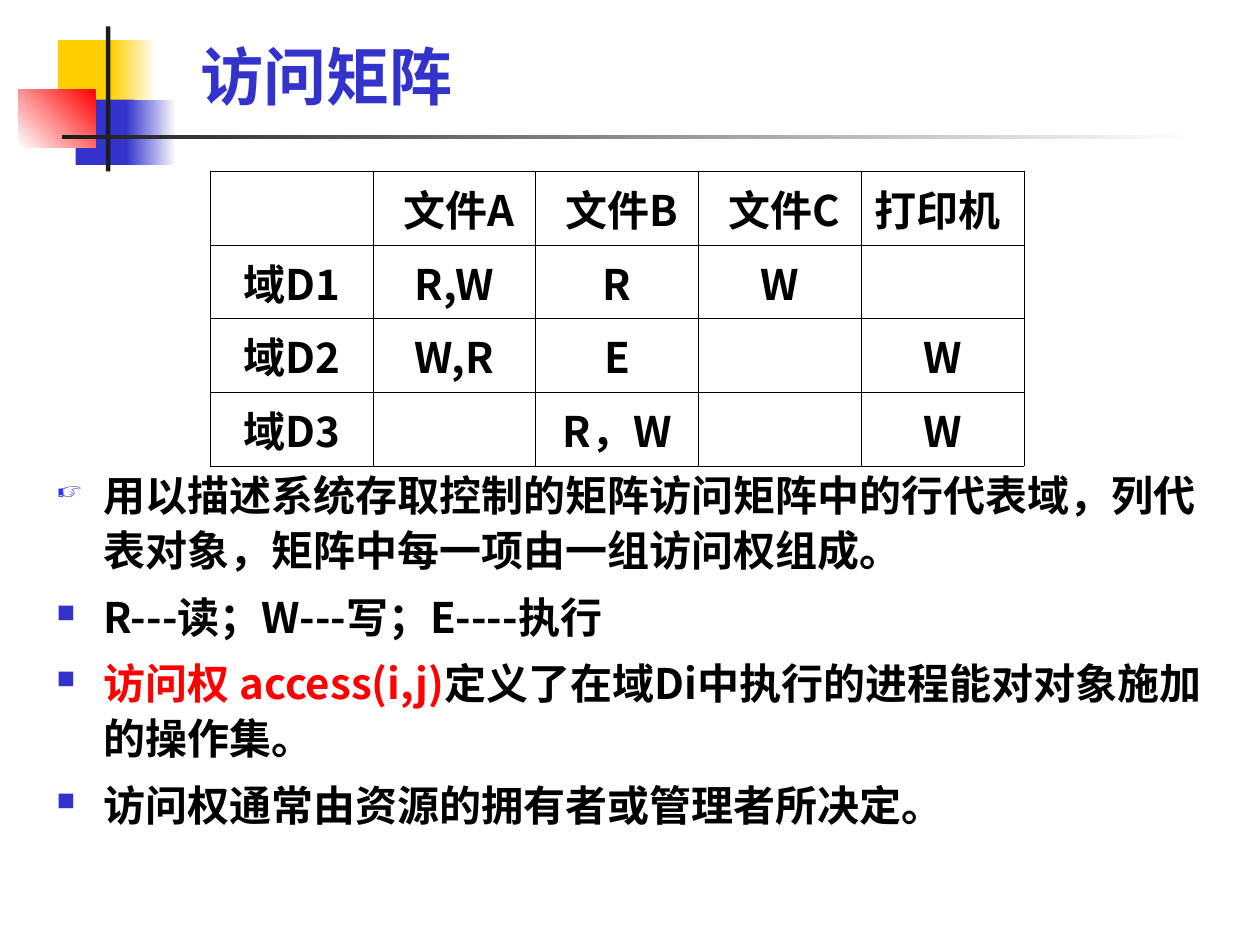
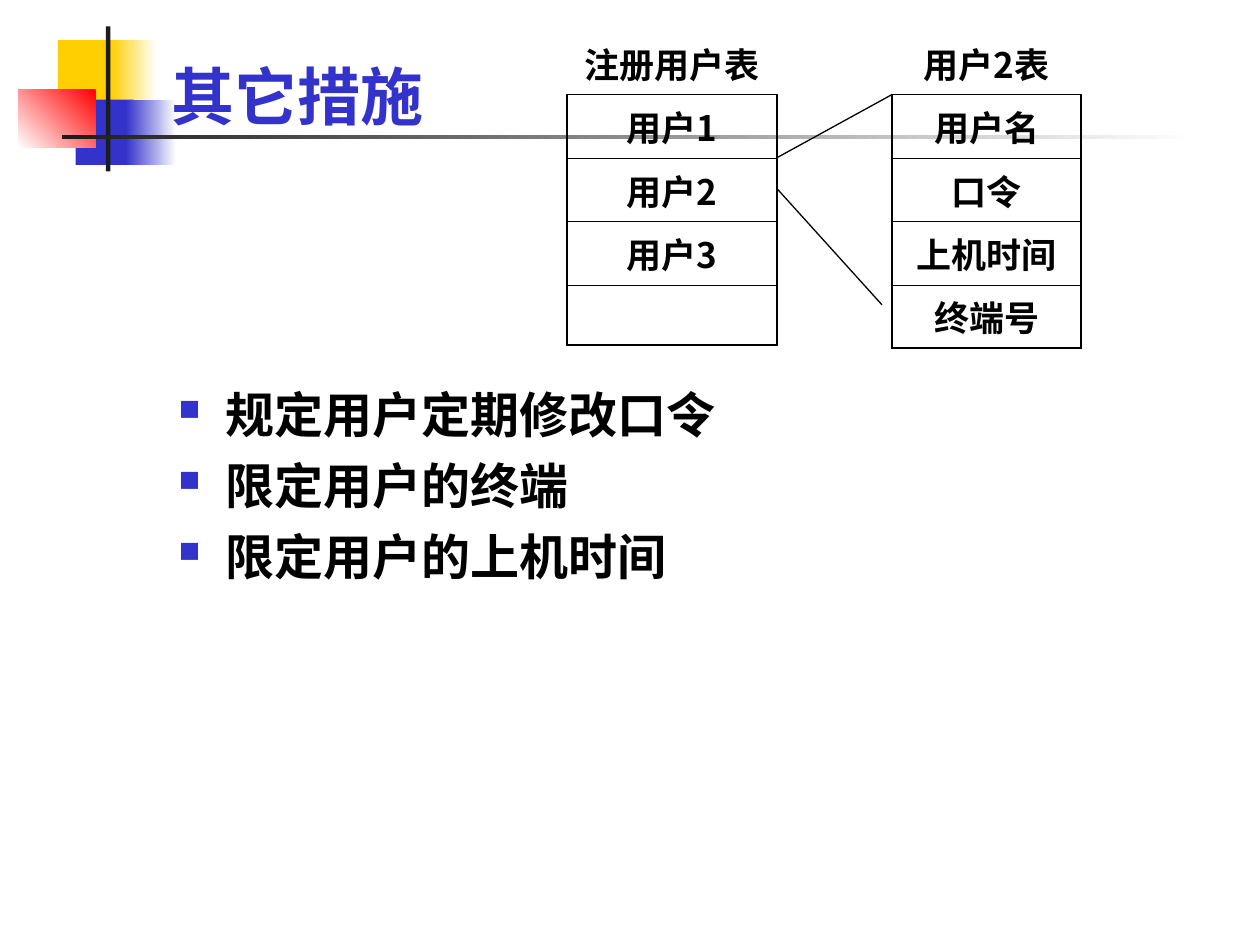
import pptx
import pptx.dml.color
import pptx.enum.shapes
import pptx.enum.text
import pptx.oxml
import pptx.oxml.ns
import pptx.util

Pt = pptx.util.Pt
ALIGN = pptx.enum.text.PP_ALIGN
ANCHOR = pptx.enum.text.MSO_ANCHOR

COLORS = {
    "blue": "3333CC", "bright_blue": "3333FF", "yellow": "FFCF01", "red": "FF0000",
    "white": "FFFFFF", "dark": "1C1C1C", "black": "000000",
}
TITLE_FONT = "Cabin"
BODY_FONT = "Noto Sans CJK SC"
THIN, THICK = 0.45, 1.08

# left, top, width, height, colours from start to end, angle (counter-clockwise)
DECORATION = [
    (33.1, 23, 34.6, 37.4, ["yellow"], 0),
    (63.4, 23, 25.9, 37.4, ["white", "yellow"], 180),
    (43.2, 56.9, 33.1, 37.4, ["blue"], 0),
    (72, 56.9, 28.8, 37.4, ["white", "blue"], 180),
    (10.5, 51.1, 44.2, 33.4, ["red", "white"], 225),
    (60.5, 15.1, 2.6, 82.8, ["dark"], 0),
    (35.3, 77, 648, 2.4, ["white", "dark"], 180),
]

ACCESS_MATRIX = [
    ["", " 文件A", " 文件B", " 文件C", "打印机 "],
    ["域D1", "R,W", "R", "W", ""],
    ["域D2", "W,R", "E", "", "W"],
    ["域D3", "", "R，W", "", "W"],
]
# bullet, bullet colour, runs of (text, colour)
MATRIX_NOTES = [
    ("☞", "bright_blue", [("用以描述系统存取控制的矩阵访问矩阵中的行代表域，列代表对象，矩阵中每一项由一组访问权组成。", "black")]),
    ("■", "blue", [("R---读；W---写；E----执行", "black")]),
    ("■", "blue", [("访问权 access(i,j)", "red"), ("定义了在域Di中执行的进程能对对象施加的操作集。", "black")]),
    ("■", "blue", [("访问权通常由资源的拥有者或管理者所决定。", "black")]),
]
MEASURES = [
    ("■", "blue", [(text, "black")])
    for text in ("规定用户定期修改口令", "限定用户的终端", "限定用户的上机时间")
]
REGISTERED_USERS = [["注册用户表"], ["用户1"], ["用户2"], ["用户3"], [""]]
USER_RECORD = [["用户2表"], ["用户名"], ["口令"], ["上机时间"], ["终端号"]]
RECORD_LINKS = [((444.2, 90), (509.8, 54)), ((444.2, 108), (504, 174.2))]


def rgb(name):
    return pptx.dml.color.RGBColor.from_string(COLORS[name])


def xml(markup):
    return pptx.oxml.parse_xml(markup.replace(">", f" {pptx.oxml.ns.nsdecls('a')}>", 1)
                               if not markup.endswith("/>") or markup.count("<") > 1
                               else markup.replace("/>", f" {pptx.oxml.ns.nsdecls('a')}/>"))


def add_text(paragraph, text, size=24, color="black", font=BODY_FONT, align=None):
    """Append one bold run; East Asian letters always take the body font."""
    if align is not None:
        paragraph.alignment = align
    run = paragraph.add_run()
    run.text = text
    run.font.size = Pt(size)
    run.font.bold = True
    run.font.color.rgb = rgb(color)
    run.font.name = font
    run.font._element.append(xml(f'<a:ea typeface="{BODY_FONT}"/>'))


def add_box(slide, left, top, width, height, inset_top=3.6, inset_bottom=3.6):
    box = slide.shapes.add_textbox(Pt(left), Pt(top), Pt(width), Pt(height))
    frame = box.text_frame
    frame.word_wrap = True
    frame.margin_top, frame.margin_bottom = Pt(inset_top), Pt(inset_bottom)
    return frame


def add_decoration(slide):
    for left, top, width, height, colors, angle in DECORATION:
        shape = slide.shapes.add_shape(
            pptx.enum.shapes.MSO_SHAPE.RECTANGLE, Pt(left), Pt(top), Pt(width), Pt(height))
        shape.shadow.inherit = False
        shape.line.fill.background()
        if len(colors) == 1:
            shape.fill.solid()
            shape.fill.fore_color.rgb = rgb(colors[0])
            continue
        shape.fill.gradient()
        shape.fill.gradient_angle = angle
        for stop, color, position in zip(shape.fill.gradient_stops, colors, (0, 1)):
            stop.color.rgb = rgb(color)
            stop.position = position


def add_titled_slide(presentation, title, left, top, width):
    slide = presentation.slides.add_slide(presentation.slide_layouts[6])
    add_decoration(slide)
    frame = add_box(slide, left, top, width, 90, inset_bottom=0)
    frame.vertical_anchor = ANCHOR.BOTTOM
    add_text(frame.paragraphs[0], title, size=36, color="blue", font=TITLE_FONT)
    return slide


def add_bullets(slide, items, left, top, width, height, size, line_height, gap):
    frame = add_box(slide, left, top, width, height, inset_top=6.6)
    for index, (bullet, bullet_color, runs) in enumerate(items):
        paragraph = frame.add_paragraph() if index else frame.paragraphs[0]
        paragraph.line_spacing = Pt(line_height)
        paragraph.space_before = Pt(gap if index else 0)
        properties = paragraph._p.get_or_add_pPr()
        properties.set("marL", str(Pt(27)))
        properties.set("indent", str(-Pt(27)))
        properties.append(xml(f'<a:buClr><a:srgbClr val="{COLORS[bullet_color]}"/></a:buClr>'))
        properties.append(xml('<a:buSzPct val="60000"/>'))
        properties.append(xml(f'<a:buChar char="{bullet}"/>'))
        for text, color in runs:
            add_text(paragraph, text, size=size, color=color)


def set_borders(cell, widths):
    """Draw the sides named in widths (L, R, T, B) and hide the others."""
    properties = cell._tc.get_or_add_tcPr()
    for side in "LRTB":
        width = widths.get(side)
        fill = (f'<a:solidFill><a:srgbClr val="{COLORS["black"]}"/></a:solidFill>'
                if width else "<a:noFill/>")
        properties.append(xml(f'<a:ln{side} w="{Pt(width or 0)}">{fill}</a:ln{side}>'))


def full_grid(row, last_row):
    return dict.fromkeys("LRTB", THIN)


def open_header(row, last_row):
    """Leave the caption row open above a boxed list."""
    if row == 0:
        return {"B": THIN}
    return {"L": THICK, "R": THICK, "T": THIN, "B": THICK if row == last_row else THIN}


def add_grid(slide, rows, left, top, column_width, row_heights, size, borders):
    columns = len(rows[0])
    table = slide.shapes.add_table(
        len(rows), columns, Pt(left), Pt(top),
        Pt(column_width * columns), Pt(sum(row_heights))).table
    table.first_row = table.horz_banding = False
    for column in table.columns:
        column.width = Pt(column_width)
    for row, (texts, height) in enumerate(zip(rows, row_heights)):
        table.rows[row].height = Pt(height)
        for column, text in enumerate(texts):
            cell = table.cell(row, column)
            set_borders(cell, borders(row, len(rows) - 1))
            cell.fill.background()
            cell.vertical_anchor = ANCHOR.MIDDLE
            if text:
                add_text(cell.text_frame.paragraphs[0], text, size=size, align=ALIGN.CENTER)


def add_line(slide, start, end):
    line = slide.shapes.add_connector(
        pptx.enum.shapes.MSO_CONNECTOR.STRAIGHT, *map(Pt, start + end))
    line.line.color.rgb = rgb("black")
    line.line.width = Pt(0.75)
    line._element.spPr.append(xml("<a:effectLst/>"))


def main():
    presentation = pptx.Presentation()
    presentation.slide_width, presentation.slide_height = Pt(720), Pt(540)

    slide = add_titled_slide(presentation, "访问矩阵", 107.3, -25.2, 501.8)
    add_bullets(slide, MATRIX_NOTES, 25.2, 258.5, 680.4, 231,
                size=24, line_height=31.8, gap=6)
    add_grid(slide, ACCESS_MATRIX, 120.2, 97.9, 93, [42.1] * 4, 24, full_grid)

    slide = add_titled_slide(presentation, "其它措施", 90.7, -13.7, 613.4)
    add_bullets(slide, MEASURES, 95, 213.1, 481.7, 191.5,
                size=28, line_height=33.6, gap=7)
    add_grid(slide, REGISTERED_USERS, 324, 18, 120.2, [36.2] * 4 + [34.2], 20, open_header)
    add_grid(slide, USER_RECORD, 509.8, 18, 108, [36.2] * 5, 20, open_header)
    for start, end in RECORD_LINKS:
        add_line(slide, start, end)

    presentation.save("out.pptx")


if __name__ == "__main__":
    main()
